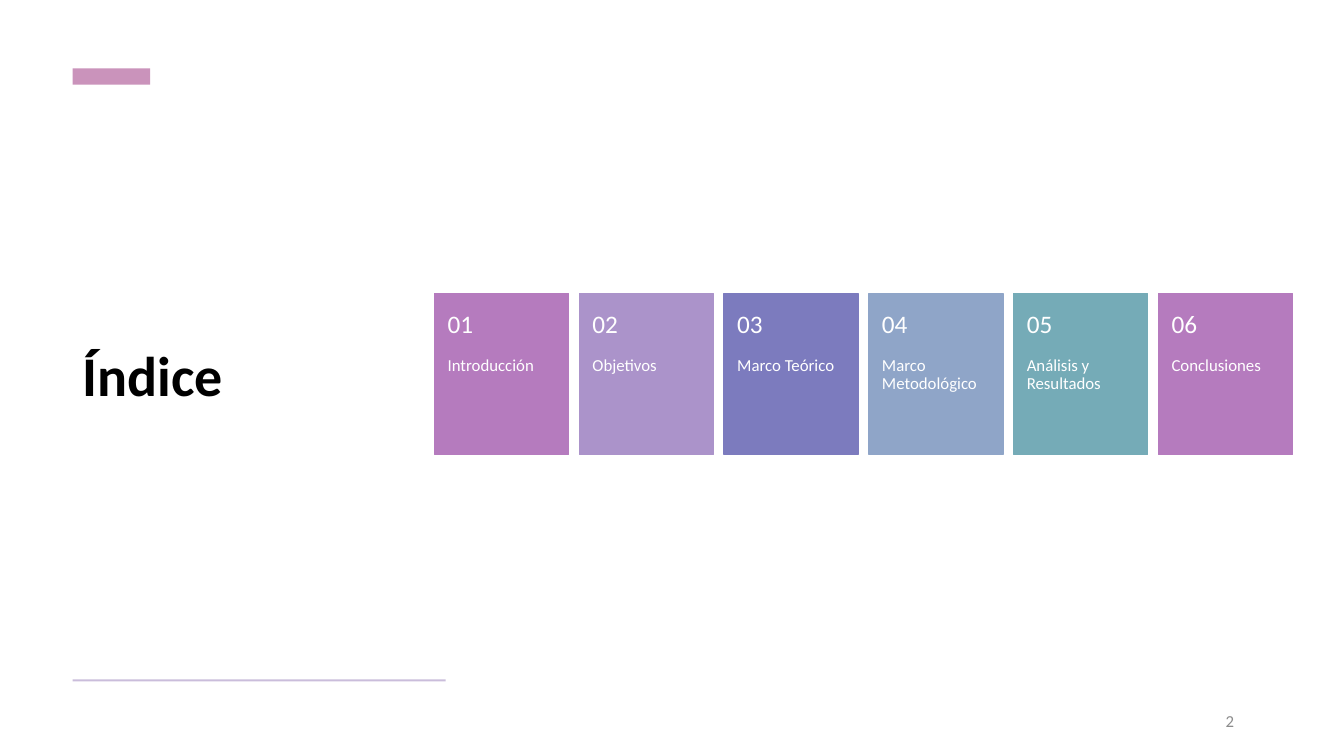
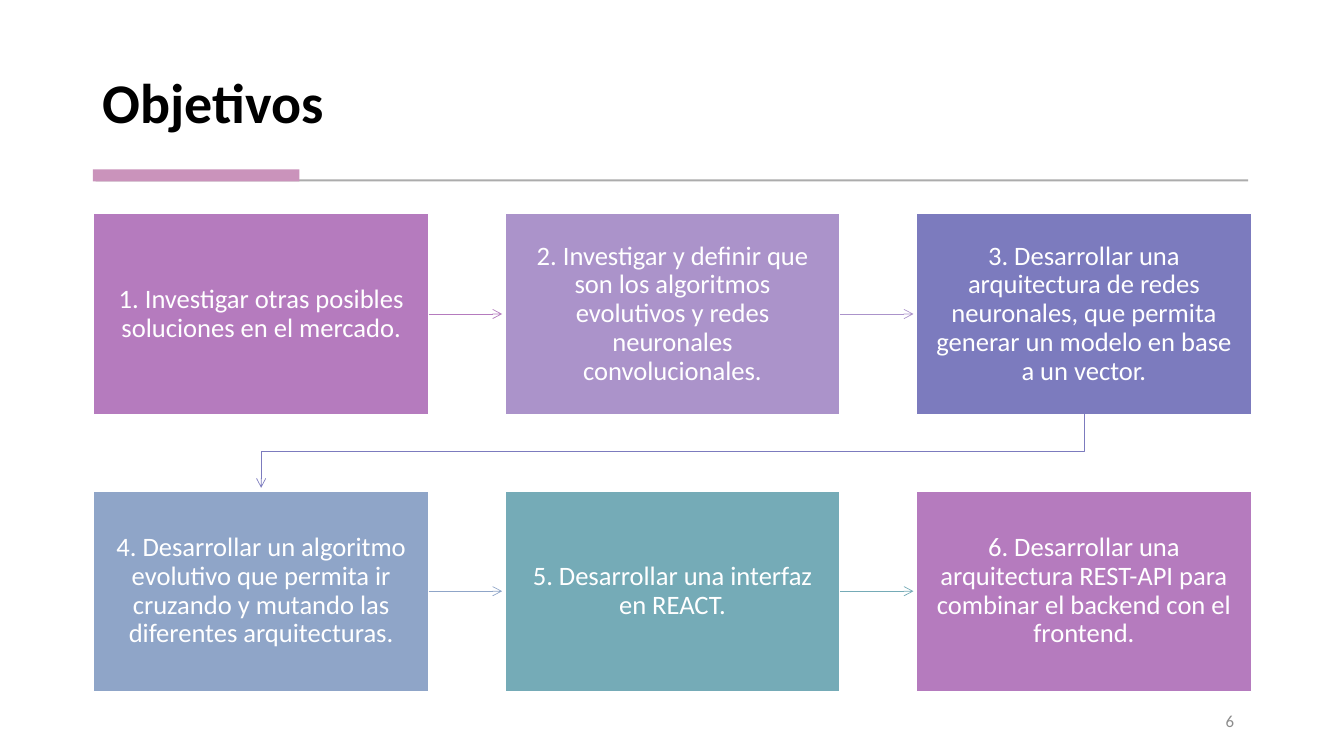
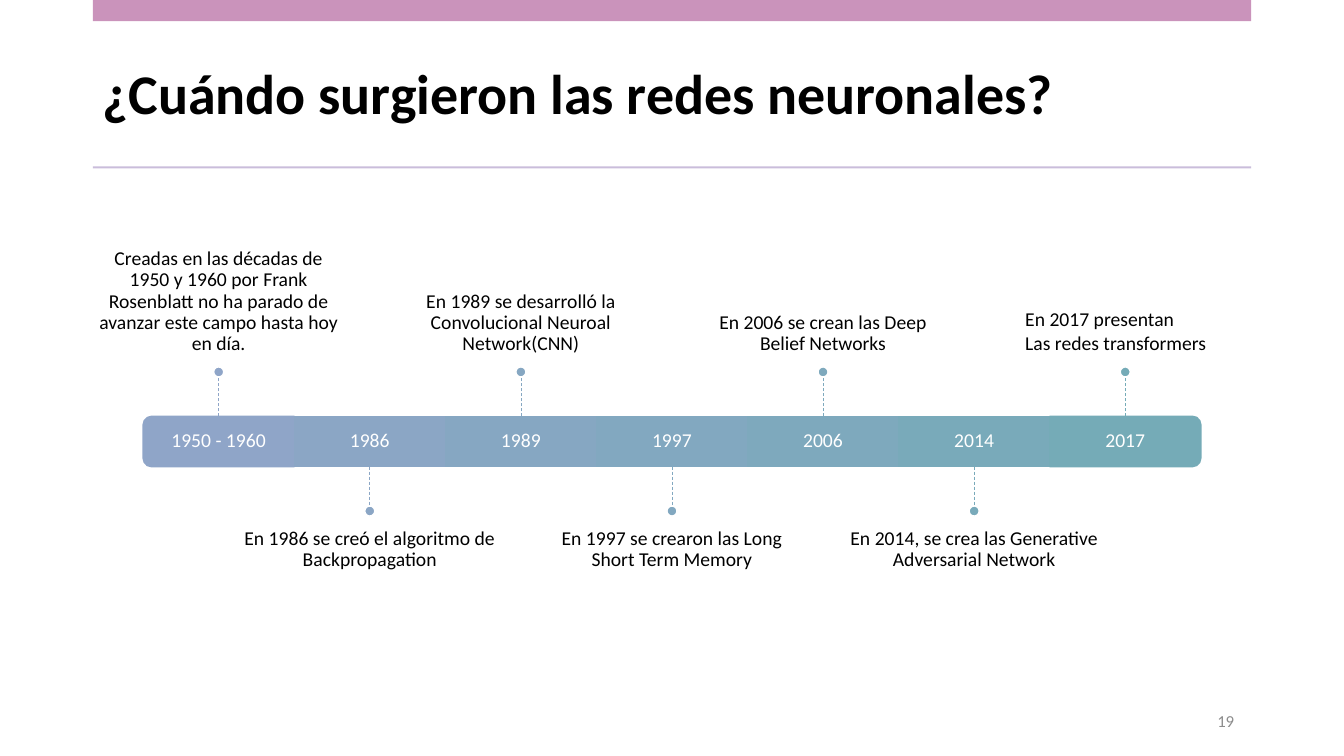
from collections import namedtuple

from lxml import etree
from pptx import Presentation
from pptx.dml.color import RGBColor
from pptx.enum.dml import MSO_LINE
from pptx.enum.shapes import MSO_CONNECTOR, MSO_SHAPE
from pptx.enum.text import MSO_ANCHOR, PP_ALIGN
from pptx.oxml.ns import qn
from pptx.util import Inches, Pt

RECT, OVAL, ROUND_END = MSO_SHAPE.RECTANGLE, MSO_SHAPE.OVAL, MSO_SHAPE.ROUND_2_SAME_RECTANGLE
STRAIGHT, ELBOW = MSO_CONNECTOR.STRAIGHT, MSO_CONNECTOR.ELBOW
LEFT, CENTER, RIGHT = PP_ALIGN.LEFT, PP_ALIGN.CENTER, PP_ALIGN.RIGHT
TOP, MIDDLE, BOTTOM = MSO_ANCHOR.TOP, MSO_ANCHOR.MIDDLE, MSO_ANCHOR.BOTTOM
DASH = MSO_LINE.DASH

FONT = "Calibri"
COLORS = {
    "white": "FFFFFF", "black": "000000", "number": "8C8C8C", "rule": "ACACAC",
    "accent": "CA93BB", "lilac": "CABDDB", "orchid": "B57BBE", "lavender": "AB93CA",
    "indigo": "7C7BBE", "steel": "8FA5C8", "teal": "75ABB7",
}
SEQUENCE = [COLORS[name] for name in ("orchid", "lavender", "indigo", "steel", "teal", "orchid")]

Box = namedtuple("Box", "left top width height")
PAGE_NUMBER = Box(9.34, 6.95, 3, 0.4)

SECTIONS = ["Introducción", "Objetivos", "Marco Teórico", "Marco Metodológico",
            "Análisis y Resultados", "Conclusiones"]
GOALS = [
    "1. Investigar otras posibles soluciones en el mercado.",
    "2. Investigar y definir que son los algoritmos evolutivos y redes neuronales convolucionales.",
    "3. Desarrollar una arquitectura de redes neuronales, que permita generar un modelo en base "
    "a un vector.",
    "4. Desarrollar un algoritmo evolutivo que permita ir cruzando y mutando las diferentes "
    "arquitecturas.",
    "5. Desarrollar una interfaz en REACT.",
    "6. Desarrollar una arquitectura REST-API para combinar el backend con el frontend.",
]
EVENTS = [
    ("1950 - 1960", "Creadas en las décadas de 1950 y 1960 por Frank Rosenblatt no ha parado de "
                    "avanzar este campo hasta hoy en día."),
    ("1986", "En 1986 se creó el algoritmo de Backpropagation"),
    ("1989", "En 1989 se desarrolló la Convolucional Neuroal Network(CNN)"),
    ("1997", "En 1997 se crearon las Long Short Term Memory"),
    ("2006", "En 2006 se crean las Deep Belief Networks"),
    ("2014", "En 2014, se crea las Generative Adversarial Network"),
    ("2017", None),
]
LATEST = ["En 2017 presentan", "Las redes transformers"]


def inches(box):
    """Convert a box to slide lengths."""
    return [Inches(value) for value in box]


def write(shape, lines, size, color, align=LEFT, anchor=TOP, insets=(0.1, 0.05, 0.1, 0.05),
          spacing=0.9, bold=False, gap=0):
    """Write lines, or (text, size) pairs, as the paragraphs of a shape."""
    frame = shape.text_frame
    frame.word_wrap = True
    frame.vertical_anchor = anchor
    (frame.margin_left, frame.margin_top,
     frame.margin_right, frame.margin_bottom) = inches(insets)
    for index, line in enumerate(lines):
        text, points = line if isinstance(line, tuple) else (line, size)
        paragraph = frame.add_paragraph() if index else frame.paragraphs[0]
        paragraph.alignment = align
        paragraph.line_spacing = spacing
        if index:
            paragraph.space_before = Pt(gap)
        run = paragraph.add_run()
        run.text = text
        run.font.name = FONT
        run.font.size = Pt(points)
        run.font.bold = bold
        run.font.color.rgb = RGBColor.from_string(color)


def add_text(slide, box, lines, size, color, **style):
    """Add a text box."""
    write(slide.shapes.add_textbox(*inches(box)), lines, size, color, **style)


def add_block(slide, box, fill, outline=None, kind=RECT):
    """Add a filled shape, outlined when a colour is given."""
    block = slide.shapes.add_shape(kind, *inches(box))
    block.shadow.inherit = False
    block.fill.solid()
    block.fill.fore_color.rgb = RGBColor.from_string(fill)
    if outline:
        block.line.color.rgb = RGBColor.from_string(outline)
        block.line.width = Pt(1)
    else:
        block.line.fill.background()
    return block


def add_line(slide, start, end, color, kind=STRAIGHT, arrow=False):
    """Add a thin connector, with an open arrowhead if asked."""
    link = slide.shapes.add_connector(kind, *inches(start + end))
    link.line.color.rgb = RGBColor.from_string(color)
    link.line.width = Pt(0.5)
    etree.SubElement(link._element.spPr, qn("a:effectLst"))
    if arrow:
        etree.SubElement(link.line._get_or_add_ln(), qn("a:tailEnd"), type="arrow")
    return link


def add_return_arrow(slide, start, end, color):
    """Add an elbow arrow that leaves and arrives vertically, going down and left."""
    middle_x, middle_y = (start[0] + end[0]) / 2, (start[1] + end[1]) / 2
    half_drop, half_run = (end[1] - start[1]) / 2, (start[0] - end[0]) / 2
    link = add_line(slide, (middle_x - half_drop, middle_y - half_run),
                    (middle_x + half_drop, middle_y + half_run), color, ELBOW, arrow=True)
    link._element.spPr.find(qn("a:xfrm")).set("rot", "5400000")


def start_slide(deck, title, title_box, number, anchor=MIDDLE):
    """Add a blank slide with its title and page number."""
    slide = deck.slides.add_slide(deck.slide_layouts[6])
    add_text(slide, title_box, [title], 40, COLORS["black"], anchor=anchor, bold=True)
    add_text(slide, PAGE_NUMBER, [str(number)], 12, COLORS["number"], align=RIGHT,
             anchor=MIDDLE, spacing=1)
    return slide


def add_index_cards(slide, box):
    """Spread the numbered section cards evenly over the box."""
    width = 1.33
    step = (box.width - width) / (len(SECTIONS) - 1)
    for index, (section, color) in enumerate(zip(SECTIONS, SEQUENCE)):
        card = add_block(slide, Box(box.left + index * step, box.top, width, box.height),
                         color, color)
        write(card, [(f"{index + 1:02}", 18), section], 12, COLORS["white"],
              insets=(0.13, 0.18, 0.13, 0.1), gap=13)


def add_goal_grid(slide, box):
    """Place the goals in two rows of three, joined by arrows in reading order."""
    columns, width, height, margin = 3, 3.32, 1.99, 0.03
    step_x, step_y = (box.width - width) / (columns - 1), box.height - height
    for index, (goal, color) in enumerate(zip(GOALS, SEQUENCE)):
        row, column = divmod(index, columns)
        left, top = box.left + column * step_x, box.top + row * step_y
        card = add_block(slide, Box(left, top, width, height), color, COLORS["white"])
        write(card, [goal], 19, COLORS["white"], align=CENTER, anchor=MIDDLE,
              insets=(0.16, 0.17, 0.16, 0.17))
        if column < columns - 1:
            middle = top + height / 2
            add_line(slide, (left + width, middle), (left + step_x - margin, middle),
                     color, arrow=True)
        elif index < len(GOALS) - 1:
            add_return_arrow(slide, (left + width / 2, top + height),
                             (box.left + width / 2, top + step_y - margin), color)


def blend(first, last, share):
    """Mix two hex colours."""
    pairs = zip(bytes.fromhex(first), bytes.fromhex(last))
    return "".join(f"{round(a + (b - a) * share):02X}" for a, b in pairs)


def add_timeline(slide, box):
    """Draw the bar of years with notes alternating above and below it."""
    step, bottom = box.width / len(EVENTS), box.top + box.height
    stem, dot, note_width, note_height = 0.39, 0.1, 2.5, 1.74
    turns = {0: 270, len(EVENTS) - 1: 90}
    for index, (year, note) in enumerate(EVENTS):
        color = blend(COLORS["steel"], COLORS["teal"], index / (len(EVENTS) - 1))
        left = box.left + index * step
        center = left + step / 2
        segment = Box(left, box.top, step, box.height)
        if index in turns:
            upright = Box(center - box.height / 2, box.top + (box.height - step) / 2,
                          box.height, step)
            add_block(slide, upright, color, color, ROUND_END).rotation = turns[index]
        else:
            add_block(slide, segment, color, color)
        add_text(slide, segment, [year], 14, COLORS["white"], align=CENTER, anchor=MIDDLE,
                 insets=(0.12,) * 4)

        above = index % 2 == 0
        edge = box.top if above else bottom
        tip = edge - stem if above else edge + stem
        add_line(slide, (center, edge), (center, tip), color).line.dash_style = DASH
        dot_top = tip - dot if above else tip
        add_block(slide, Box(center - dot / 2, dot_top, dot, dot), color, COLORS["white"], OVAL)
        if note:
            note_top = dot_top - note_height if above else dot_top + dot
            add_text(slide, Box(center - note_width / 2, note_top, note_width, note_height),
                     [note], 14, COLORS["black"], align=CENTER, anchor=BOTTOM if above else TOP,
                     insets=(0, 0, 0, 0.12) if above else (0, 0.12, 0, 0))
    add_text(slide, Box(box.left + box.width - 1.84, box.top - 1.13, 2.34, 0.57), LATEST, 14,
             COLORS["black"], spacing=1)


def build_index(deck):
    """Build the index slide."""
    slide = start_slide(deck, "Índice", Box(0.72, 1.05, 3.7, 5.41), 2)
    add_block(slide, Box(0.72, 0.68, 0.77, 0.16), COLORS["accent"])
    add_block(slide, Box(0.72, 6.74, 3.7, 0.02), COLORS["lilac"])
    add_index_cards(slide, Box(4.31, 2.91, 8.51, 1.6))


def build_goals(deck):
    """Build the goals slide."""
    slide = start_slide(deck, "Objetivos", Box(0.92, 0.28, 11.49, 1.11), 6, BOTTOM)
    add_block(slide, Box(0.95, 1.78, 11.43, 0.02), COLORS["rule"])
    add_block(slide, Box(0.92, 1.68, 2.05, 0.12), COLORS["accent"])
    add_goal_grid(slide, Box(0.93, 2.12, 11.48, 4.74))


def build_history(deck):
    """Build the history slide."""
    slide = start_slide(deck, "¿Cuándo surgieron las redes neuronales?",
                        Box(0.92, 0.37, 11.49, 1.18), 19)
    add_block(slide, Box(0.92, 0, 11.49, 0.21), COLORS["accent"])
    add_block(slide, Box(0.92, 1.65, 11.49, 0.02), COLORS["lilac"])
    add_timeline(slide, Box(1.42, 4.13, 10.49, 0.5))


def main():
    """Build and save the deck."""
    deck = Presentation()
    deck.slide_width, deck.slide_height = Inches(13.33), Inches(7.5)
    build_index(deck)
    build_goals(deck)
    build_history(deck)
    deck.save("out.pptx")


if __name__ == "__main__":
    main()
